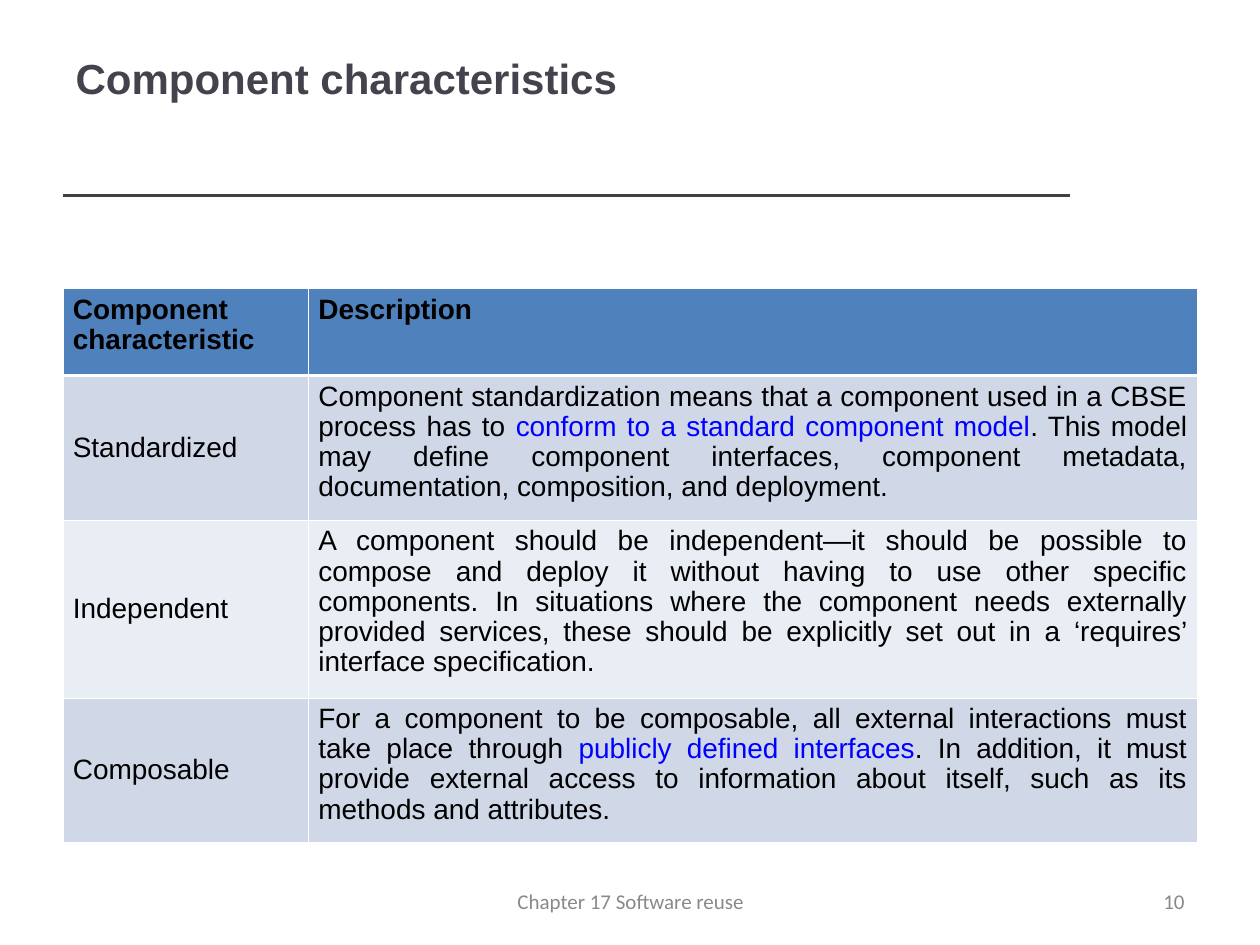
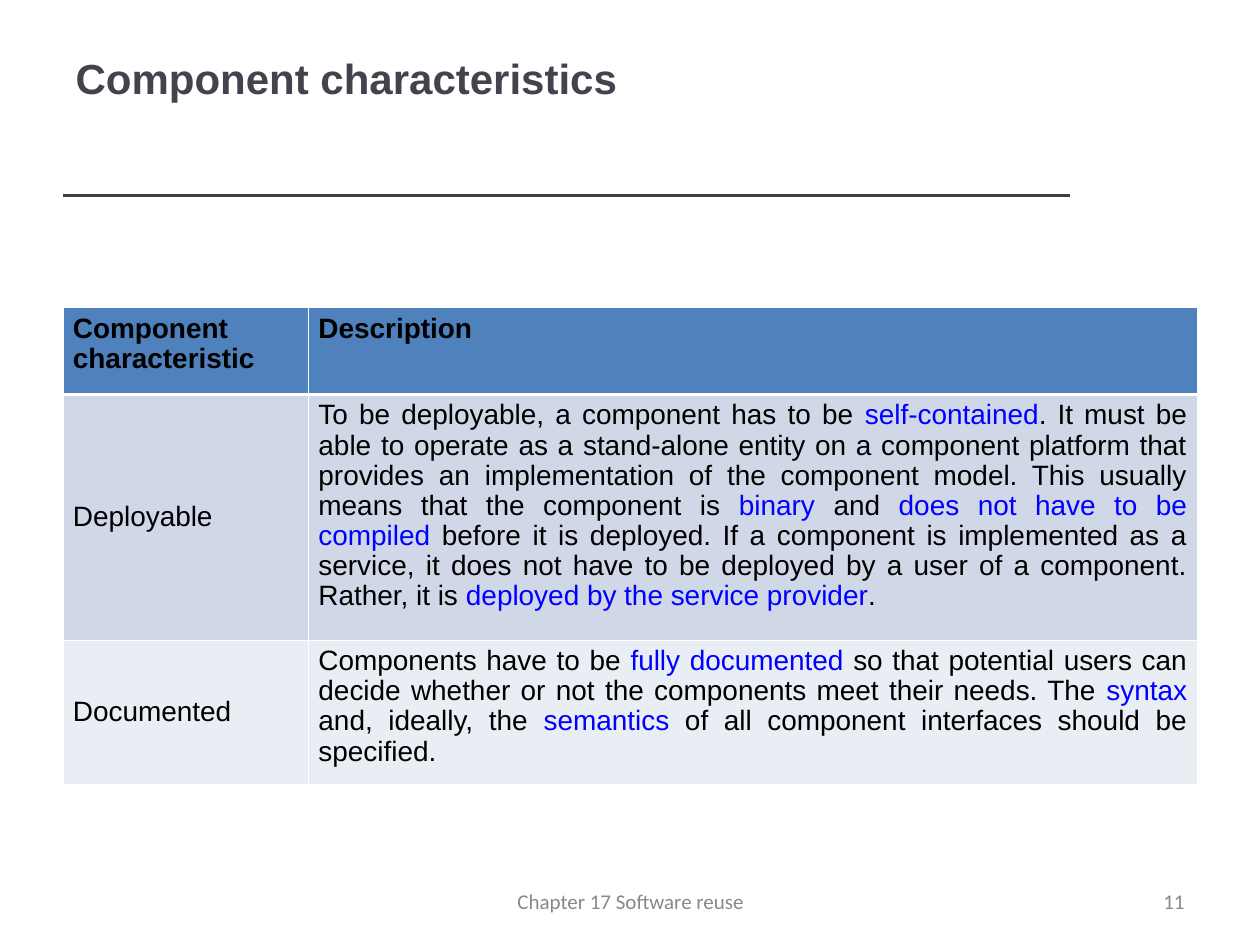
"""Build two slides that tabulate component characteristics."""
import pptx
import pptx.dml.color
import pptx.enum.shapes
import pptx.enum.text
import pptx.oxml
import pptx.oxml.ns
import pptx.util

Cm, Pt = pptx.util.Cm, pptx.util.Pt
ALIGN, ANCHOR = pptx.enum.text.PP_ALIGN, pptx.enum.text.MSO_ANCHOR

TITLE = "Component characteristics"
FOOTER = "Chapter 17 Software reuse"
HEAD = ("Component characteristic", "Description")
SLIDES = [
    {"page": 10, "top": 5.82, "rows": [
        ("Standardized", 2.92,
         "Component standardization means that a component used in a CBSE process has to "
         "*conform to a standard component model*. This model may define component "
         "interfaces, component metadata, documentation, composition, and deployment."),
        ("Independent", 3.58,
         "A component should be independent—it should be possible to compose and deploy it "
         "without having to use other specific components. In situations where the component "
         "needs externally provided services, these should be explicitly set out in a "
         "‘requires’ interface specification."),
        ("Composable", 2.92,
         "For a component to be composable, all external interactions must take place through "
         "*publicly defined interfaces*. In addition, it must provide external access to "
         "information about itself, such as its methods and attributes."),
    ]},
    {"page": 11, "top": 6.2, "rows": [
        ("Deployable", 4.95,
         "To be deployable, a component has to be *self-contained*. It must be able to operate "
         "as a stand-alone entity on a component platform that provides an implementation of "
         "the component model. This usually means that the component is *binary* and *does not "
         "have to be compiled* before it is deployed. If a component is implemented as a "
         "service, it does not have to be deployed by a user of a component. Rather, it is "
         "*deployed by the service provider*."),
        ("Documented", 2.92,
         "Components have to be *fully documented* so that potential users can decide whether "
         "or not the components meet their needs. The *syntax* and, ideally, the *semantics* "
         "of all component interfaces should be specified."),
    ]},
]
COLORS = {"title": "46424D", "rule": "404040", "text": "000000", "mark": "0000FF",
          "foot": "898989", "head": "4F81BD", "odd": "D0D8E8", "even": "E9EDF4",
          "edge": "FFFFFF"}
LEFT, WIDTH = 1.27, 22.86
COLS = (4.95, 17.91)
HEAD_H = 1.75
FOOT_Y, FOOT_H = 17.65, 1.02
THIN, THICK = 0.45, 1.47


def rgb(name):
    return pptx.dml.color.RGBColor.from_string(COLORS[name])


def write(frame, text, size=16, font="Arial", color="text", bold=False,
          align=ALIGN.JUSTIFY, anchor=ANCHOR.MIDDLE, space=None):
    frame.word_wrap = True
    frame.vertical_anchor = anchor
    para = frame.paragraphs[0]
    para.alignment = align
    para.line_spacing = space
    for i, part in enumerate(text.split("*")):
        run = para.add_run()
        run.text = part
        run.font.size, run.font.name, run.font.bold = Pt(size), font, bold
        run.font.color.rgb = rgb("mark" if i % 2 else color)


def edge(cell, top, bottom):
    props = cell._tc.get_or_add_tcPr()
    for side, width in (("L", THIN), ("R", THIN), ("T", top), ("B", bottom)):
        props.append(pptx.oxml.parse_xml(
            f'<a:ln{side} {pptx.oxml.ns.nsdecls("a")} w="{Pt(width)}"><a:solidFill>'
            f'<a:srgbClr val="{COLORS["edge"]}"/></a:solidFill></a:ln{side}>'))


def add_rule(slide):
    line = slide.shapes.add_connector(pptx.enum.shapes.MSO_CONNECTOR.STRAIGHT,
                                      Cm(LEFT), Cm(3.94), Cm(21.56), Cm(3.94))
    line.line.color.rgb = rgb("rule")
    line.line.width = Pt(2)
    line._element.spPr.append(pptx.oxml.parse_xml(
        f'<a:effectLst {pptx.oxml.ns.nsdecls("a")}/>'))


def add_grid(slide, top, rows):
    highs = [HEAD_H] + [high for _, high, _ in rows]
    cells = [HEAD] + [(name, text) for name, _, text in rows]
    grid = slide.shapes.add_table(len(cells), len(COLS), Cm(LEFT), Cm(top),
                                  Cm(WIDTH), Cm(sum(highs))).table
    for col, wide in zip(grid.columns, COLS):
        col.width = Cm(wide)
    for r, (high, texts) in enumerate(zip(highs, cells)):
        grid.rows[r].height = Cm(high)
        fill = "head" if r == 0 else "odd" if r % 2 else "even"
        for c, text in enumerate(texts):
            cell = grid.cell(r, c)
            edge(cell, THICK if r == 1 else THIN, THICK if r == 0 else THIN)
            cell.fill.solid()
            cell.fill.fore_color.rgb = rgb(fill)
            cell.margin_left = cell.margin_right = Cm(0.2)
            cell.margin_top = cell.margin_bottom = Cm(0.13)
            write(cell.text_frame, text, bold=r == 0, space=0.97)
            mid = r > 0 and c == 0
            cell.vertical_anchor = ANCHOR.MIDDLE if mid else ANCHOR.TOP


def add_foot(slide, text, left, width, align):
    box = slide.shapes.add_textbox(Cm(left), Cm(FOOT_Y), Cm(width), Cm(FOOT_H))
    write(box.text_frame, text, size=12, font="Calibri", color="foot", align=align)


def add_slide(deck, page, top, rows):
    slide = deck.slides.add_slide(deck.slide_layouts[5])
    title = slide.shapes.title
    title.left, title.top, title.width, title.height = Cm(LEFT), Cm(0), Cm(WIDTH), Cm(3.15)
    write(title.text_frame, TITLE, size=24, color="title", bold=True, align=ALIGN.LEFT)
    add_rule(slide)
    add_grid(slide, top, rows)
    add_foot(slide, str(page), 18.21, 5.92, ALIGN.RIGHT)
    add_foot(slide, FOOTER, 8.69, 8.05, ALIGN.CENTER)


def main():
    deck = pptx.Presentation()
    deck.slide_width, deck.slide_height = Cm(25.4), Cm(19.05)
    for item in SLIDES:
        add_slide(deck, **item)
    deck.save("out.pptx")


if __name__ == "__main__":
    main()
